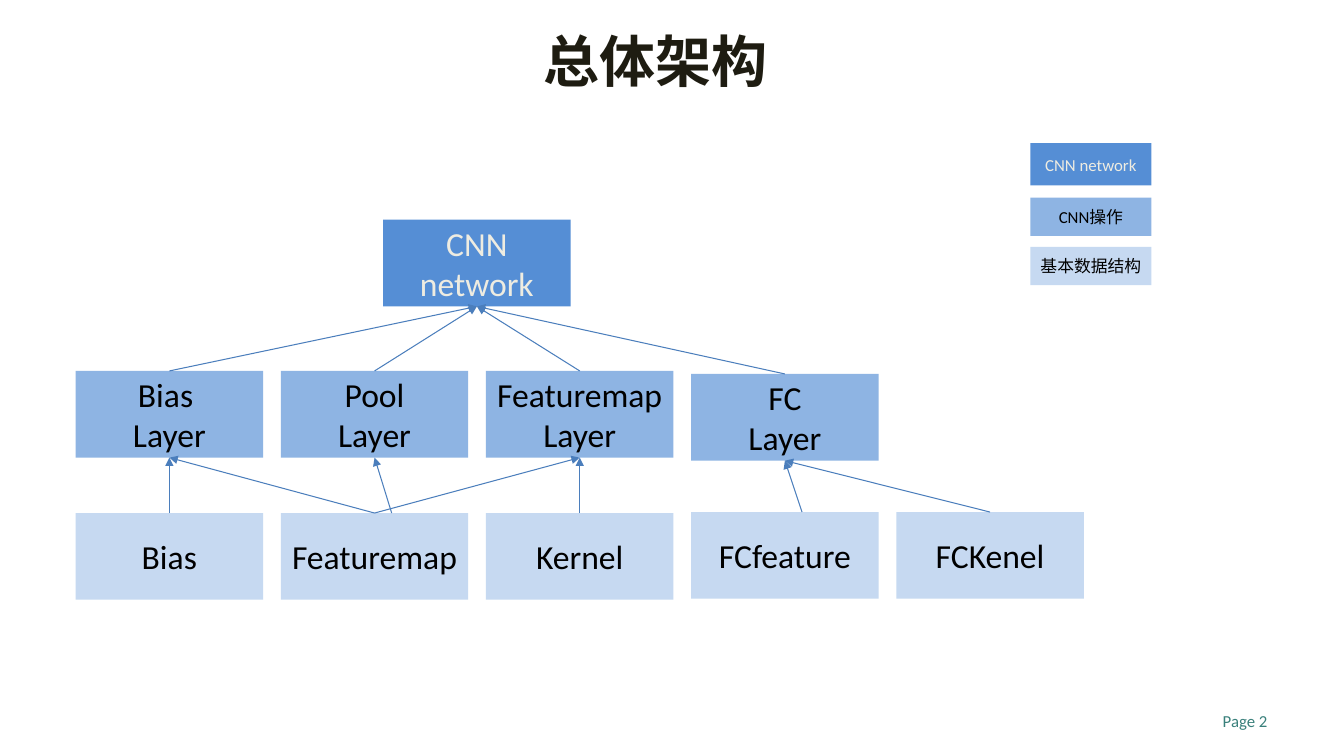
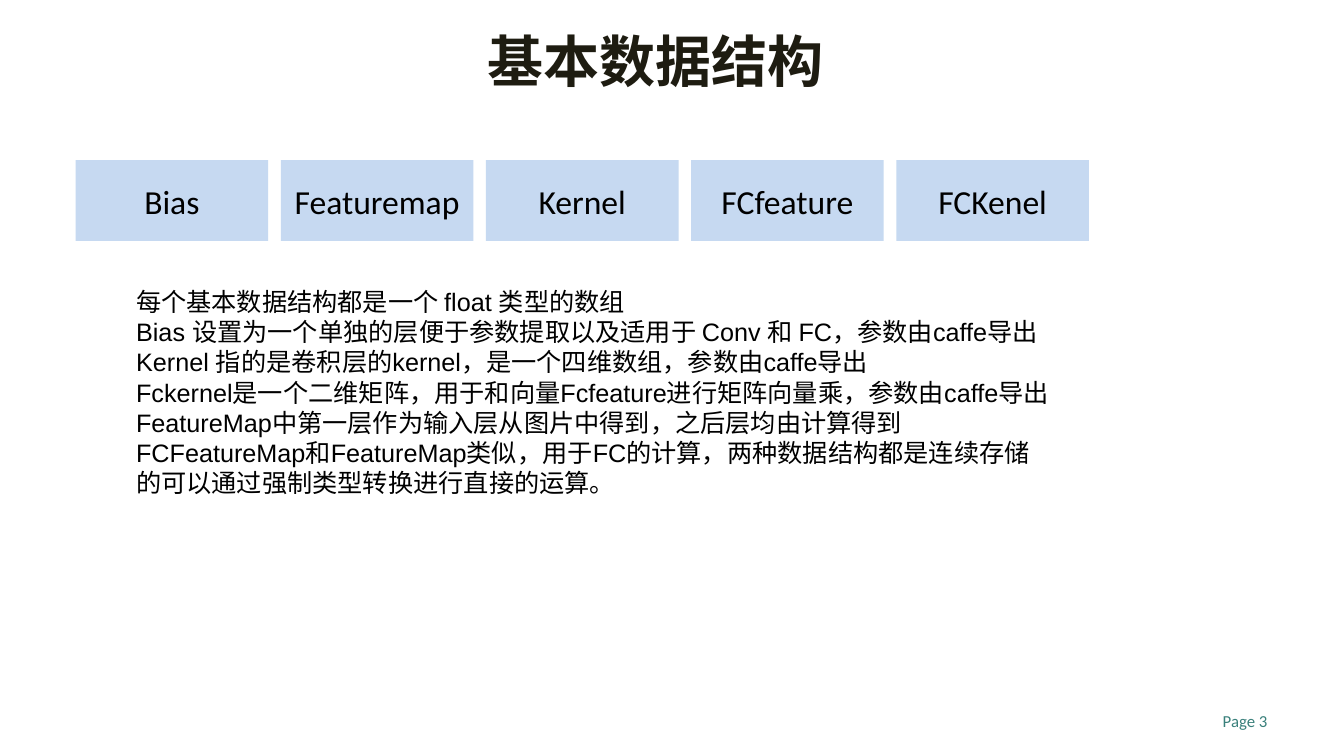
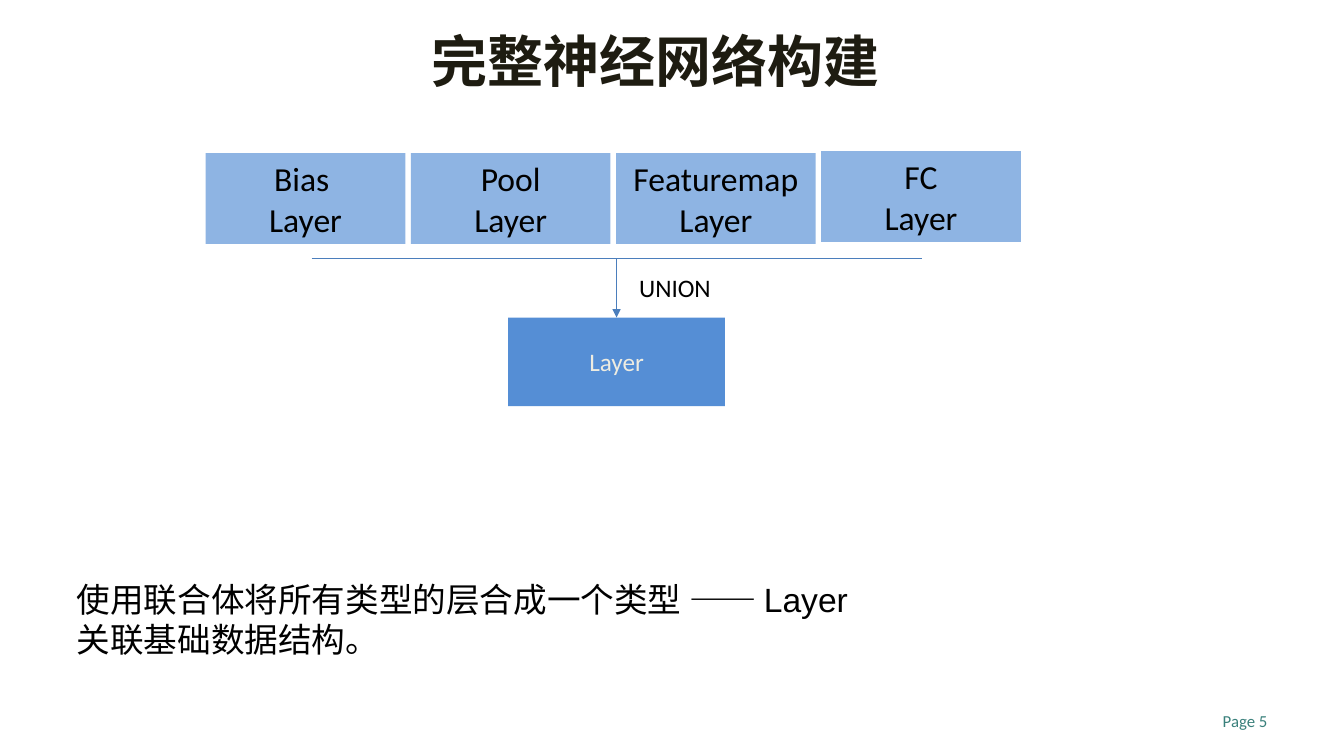
from lxml.etree import SubElement
from pptx import Presentation
from pptx.dml.color import RGBColor
from pptx.enum.shapes import MSO_CONNECTOR, MSO_SHAPE
from pptx.enum.text import MSO_ANCHOR, PP_ALIGN
from pptx.oxml.ns import qn
from pptx.util import Inches, Pt

COLORS = {
    "network": "558ED5",
    "operation": "8EB4E3",
    "data": "C6D9F1",
    "line": "4B7EBC",
    "title": "1E1C11",
    "page": "39807B",
    "text": "000000",
    "light": "EEECE1",
}
TEXT_ON = {"network": "light", "operation": "text", "data": "text"}
COLUMN_STEP = (8.89 - 0.75) / 4
DATA_NAMES = ["Bias", "Featuremap", "Kernel", "FCfeature", "FCKenel"]
LAYER_NAMES = ["Bias \nLayer", "Pool\nLayer", "Featuremap\nLayer", "FC\nLayer"]
LEGEND = [
    ("CNN network", "network", 1.42, 0.42),
    ("CNN操作", "operation", 1.96, 0.38),
    ("基本数据结构", "data", 2.45, 0.38),
]
DATA_NOTES = """每个基本数据结构都是一个 float 类型的数组
Bias 设置为一个单独的层便于参数提取以及适用于 Conv 和 FC，参数由caffe导出
Kernel 指的是卷积层的kernel，是一个四维数组，参数由caffe导出
Fckernel是一个二维矩阵，用于和向量Fcfeature进行矩阵向量乘，参数由caffe导出
FeatureMap中第一层作为输入层从图片中得到，之后层均由计算得到
FCFeatureMap和FeatureMap类似，用于FC的计算，两种数据结构都是连续存储的可以通过强制类型转换进行直接的运算。"""
UNION_NOTES = """使用联合体将所有类型的层合成一个类型 —— Layer
关联基础数据结构。"""


def rgb(name):
    return RGBColor.from_string(COLORS[name])


def write(shape, text, size, color="text", font="Calibri", align=PP_ALIGN.LEFT,
          bold=False, spacing=None, anchor=MSO_ANCHOR.MIDDLE, wrap=True):
    frame = shape.text_frame
    frame.word_wrap = wrap
    frame.vertical_anchor = anchor
    frame.text = text
    for paragraph in frame.paragraphs:
        paragraph.alignment = align
        paragraph.line_spacing = spacing
        paragraph.font.name = font
        paragraph.font.size = Pt(size)
        paragraph.font.bold = bold
        paragraph.font.color.rgb = rgb(color)


def add_text(slide, left, top, width, height, text, size, **style):
    shape = slide.shapes.add_textbox(Inches(left), Inches(top), Inches(width), Inches(height))
    write(shape, text, size, **style)
    return shape


def add_notes(slide, left, top, width, height, text, size):
    shape = add_text(slide, left, top, width, height, text, size,
                     font="Arial", anchor=MSO_ANCHOR.TOP)
    shape.text_frame.margin_left = Inches(0.6)


def add_block(slide, left, top, width, height, text, kind, size=24):
    shape = slide.shapes.add_shape(
        MSO_SHAPE.RECTANGLE, Inches(left), Inches(top), Inches(width), Inches(height))
    shape.shadow.inherit = False
    shape.fill.solid()
    shape.fill.fore_color.rgb = rgb(kind)
    shape.line.fill.background()
    write(shape, text, size, color=TEXT_ON[kind], align=PP_ALIGN.CENTER)
    return shape


def add_row(slide, left, top, width, height, names, kind, fc_shift=0):
    return [
        add_block(slide, left + index * COLUMN_STEP,
                  top + (fc_shift if name.startswith("FC") else 0),
                  width, height, name, kind)
        for index, name in enumerate(names)
    ]


def add_line(slide, start_x, start_y, end_x, end_y, arrow=True):
    connector = slide.shapes.add_connector(
        MSO_CONNECTOR.STRAIGHT, start_x, start_y, end_x, end_y)
    connector.line.color.rgb = rgb("line")
    connector.line.width = Pt(0.75)
    if arrow:
        SubElement(connector.line._get_or_add_ln(), qn("a:tailEnd"), type="triangle")
    SubElement(connector._element.spPr, qn("a:effectLst"))
    return connector


def link_up(slide, lower, upper, shift=0):
    connector = add_line(slide, lower.left + lower.width // 2 + Inches(shift), lower.top,
                         upper.left + upper.width // 2, upper.top + upper.height)
    if not shift:
        connector.begin_connect(lower, 0)
    connector.end_connect(upper, 2)


def add_legend(slide, left, width):
    for text, kind, top, height in LEGEND:
        add_block(slide, left, top, width, height, text, kind, size=12)


def new_slide(presentation, title, page):
    slide = presentation.slides.add_slide(presentation.slide_layouts[6])
    add_text(slide, 9.56, 6.95, 3.11, 0.4, f"Page {page}", 12,
             color="page", align=PP_ALIGN.RIGHT)
    add_text(slide, 0.75, 0.13, 11.5, 1.02, title, 40, color="title",
             font="DejaVu Sans Mono", align=PP_ALIGN.CENTER, bold=True, spacing=0.9)
    return slide


def architecture_slide(presentation):
    slide = new_slide(presentation, "总体架构", 2)
    width, height = 1.86, 0.86
    network = add_block(slide, 3.8, 2.18, width, height, "CNN\nnetwork", "network")
    layers = add_row(slide, 0.75, 3.68, width, height, LAYER_NAMES, "operation", 0.03)
    data = add_row(slide, 0.75, 5.09, width, height, DATA_NAMES, "data", -0.01)
    bias_layer, pool_layer, map_layer, fc_layer = layers
    bias, feature_map, kernel, fc_feature, fc_kernel = data
    for layer in layers:
        link_up(slide, layer, network)
    for lower, upper, shift in [
        (bias, bias_layer, 0),
        (feature_map, bias_layer, 0),
        (feature_map, map_layer, 0),
        (kernel, map_layer, 0),
        (feature_map, pool_layer, 0.17),
        (fc_feature, fc_layer, 0.17),
        (fc_kernel, fc_layer, 0),
    ]:
        link_up(slide, lower, upper, shift)
    add_legend(slide, 10.22, 1.2)


def data_slide(presentation):
    slide = new_slide(presentation, "基本数据结构", 3)
    add_row(slide, 0.75, 1.59, 1.91, 0.8, DATA_NAMES, "data")
    add_notes(slide, 0.75, 2.79, 9.78, 2.83, DATA_NOTES, 18)


def union_slide(presentation):
    slide = new_slide(presentation, "完整神经网络构建", 5)
    add_row(slide, 2.04, 1.52, 1.98, 0.9, LAYER_NAMES, "operation", -0.02)
    union = add_block(slide, 5.04, 3.15, 2.15, 0.88, "Layer", "network", size=18)
    bar_y = Inches(2.56)
    center = union.left + union.width // 2
    add_line(slide, Inches(3.09), bar_y, Inches(9.14), bar_y, arrow=False)
    add_line(slide, center, bar_y, center, union.top).end_connect(union, 0)
    add_text(slide, 6.24, 2.65, 0.92, 0.4, "UNION", 18, anchor=MSO_ANCHOR.TOP, wrap=False)
    add_notes(slide, 0.16, 5.69, 11.71, 0.91, UNION_NOTES, 24)


def main():
    presentation = Presentation()
    presentation.slide_width = Inches(13.33)
    presentation.slide_height = Inches(7.5)
    architecture_slide(presentation)
    data_slide(presentation)
    union_slide(presentation)
    presentation.save("out.pptx")


if __name__ == "__main__":
    main()
